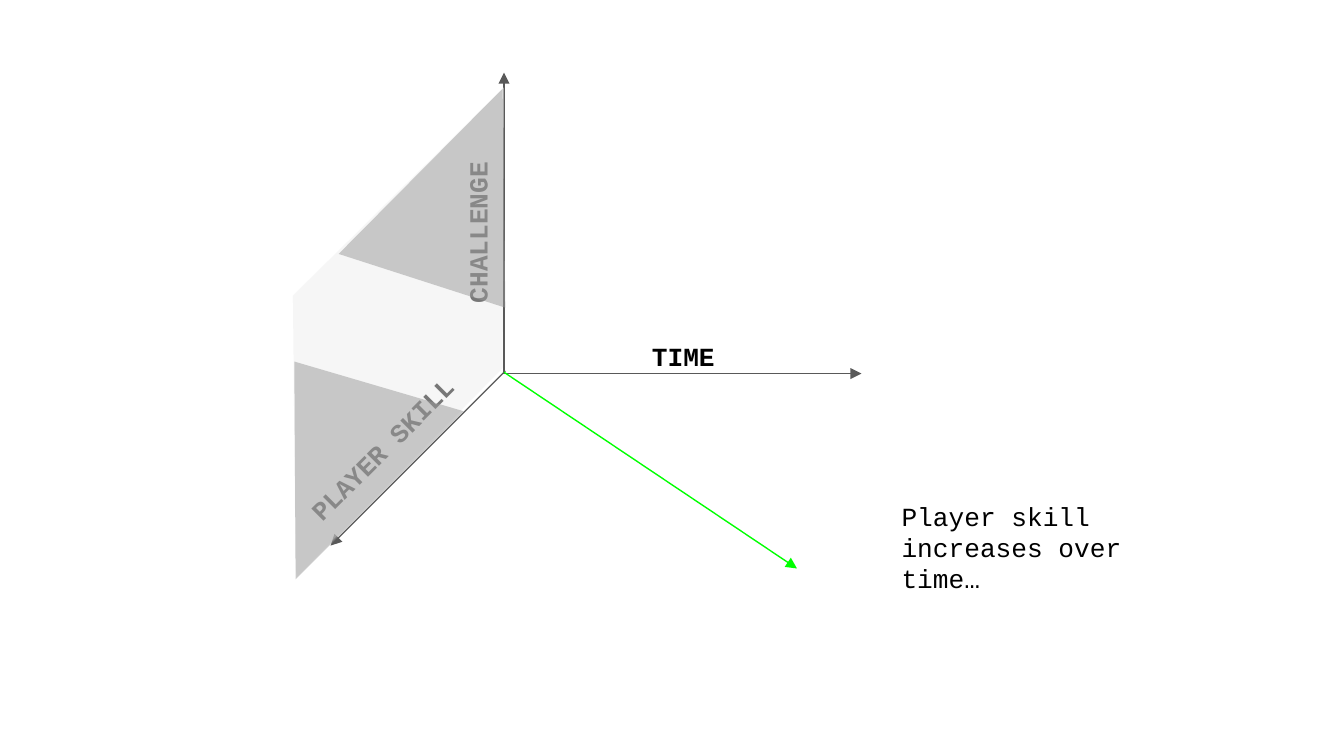
import pptx
import pptx.util
import pptx.dml.color
import pptx.enum.shapes
import pptx.enum.text
import pptx.oxml
import pptx.oxml.ns
from lxml import etree

Inches, Pt = pptx.util.Inches, pptx.util.Pt
ALIGN, ANCHOR = pptx.enum.text.PP_ALIGN, pptx.enum.text.MSO_ANCHOR
qn = pptx.oxml.ns.qn


def rgb(value):
    return pptx.dml.color.RGBColor.from_string(value)


# Widescreen 16:9 slide
prs = pptx.Presentation()
prs.slide_width = Inches(10)
prs.slide_height = Inches(10 * 9 / 16)
s = prs.slides.add_slide(prs.slide_layouts[6])


def add_text(text, box, rotation=0, bold=True, align=ALIGN.CENTER, anchor=ANCHOR.MIDDLE):
    sp = s.shapes.add_textbox(*map(Inches, box))
    sp.rotation = rotation
    tf = sp.text_frame
    frame_format = {"word_wrap": True, "vertical_anchor": anchor}
    for side in ("left", "right", "top", "bottom"):
        frame_format["margin_" + side] = Inches(0.1)
    for name, value in frame_format.items():
        setattr(tf, name, value)
    p = tf.paragraphs[0]
    p.alignment = align
    r = p.add_run()
    r.text = text
    for name, value in {"name": "Courier New", "size": Pt(14), "bold": bold}.items():
        setattr(r.font, name, value)
    r.font.color.rgb = rgb("000000")


# Arrows: challenge, time and player skill axes, then skill growth
arrows = []
for start, end, color, tip in [
    ((3.75, 0.54), (3.75, 2.78), "595959", "a:headEnd"),
    ((3.76, 2.78), (6.41, 2.78), "595959", "a:tailEnd"),
    ((3.76, 2.76), (2.46, 4.06), "595959", "a:tailEnd"),
    ((3.75, 2.77), (5.93, 4.23), "00FF00", "a:tailEnd"),
]:
    arrow = s.shapes.add_connector(
        pptx.enum.shapes.MSO_CONNECTOR.STRAIGHT, *map(Inches, start + end))
    arrow.line.color.rgb = rgb(color)
    arrow.line.width = Pt(0.75)
    spPr = arrow._element.spPr
    etree.SubElement(spPr.find(qn("a:ln")), qn(tip), type="triangle")
    etree.SubElement(spPr, qn("a:effectLst"))
    arrows.append(arrow)

# Axis labels
for text, box, rotation in [("PLAYER SKILL", (1.85, 3.22, 1.98, 0.24), 315),
                            ("CHALLENGE", (1.91, 1.61, 3.28, 0.24), 270),
                            ("TIME", (4.55, 2.53, 1.07, 0.24), 0)]:
    add_text(text, box, rotation)

# Half-transparent skill/challenge plane and its two outer zones
for color, points in [
    ("EEEEEE", [(3.74, 2.74), (3.75, 0.65), (2.18, 2.2), (2.2, 4.22), (2.21, 4.29)]),
    ("999999", [(3.76, 2.29), (2.52, 1.89), (3.74, 0.66)]),
    ("999999", [(3.45, 3.06), (2.19, 2.69), (2.2, 4.31)]),
]:
    corners = [(Inches(x), Inches(y)) for x, y in points]
    builder = s.shapes.build_freeform(*corners[0])
    builder.add_line_segments(corners[1:], close=True)
    zone = builder.convert_to_shape()
    zone.shadow.inherit = False
    zone.line.fill.background()
    zone.fill.solid()
    zone.fill.fore_color.rgb = rgb(color)
    fill_color = zone._element.spPr.find(".//" + qn("a:srgbClr"))
    etree.SubElement(fill_color, qn("a:alpha"), val="50000")

# Growth arrow goes in front of the plane, followed by its caption
s.shapes._spTree.append(arrows[-1]._element)
add_text("Player skill increases over time…", (6.61, 3.62, 2.06, 0.91),
         bold=False, align=ALIGN.LEFT, anchor=ANCHOR.TOP)

prs.save("out.pptx")
